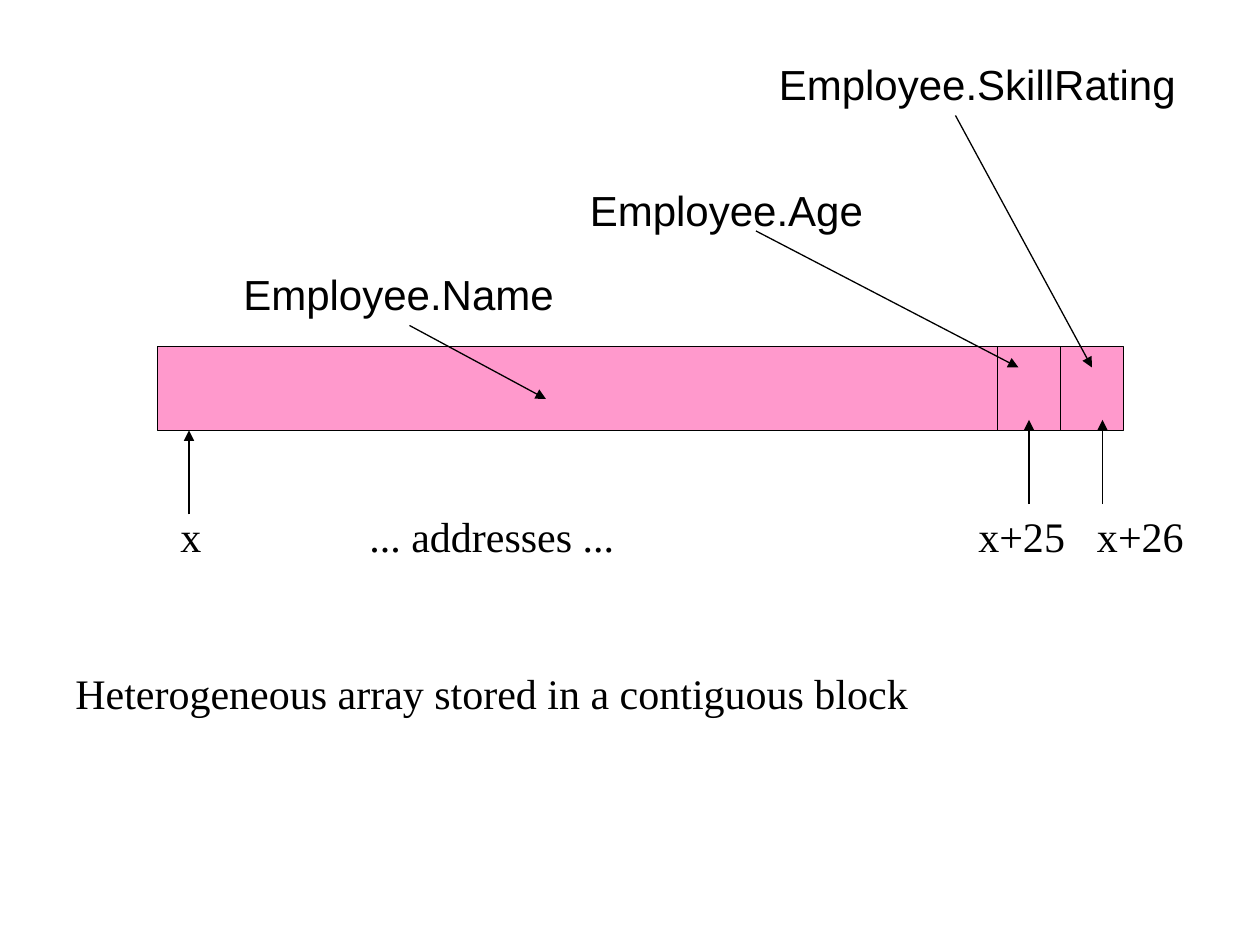
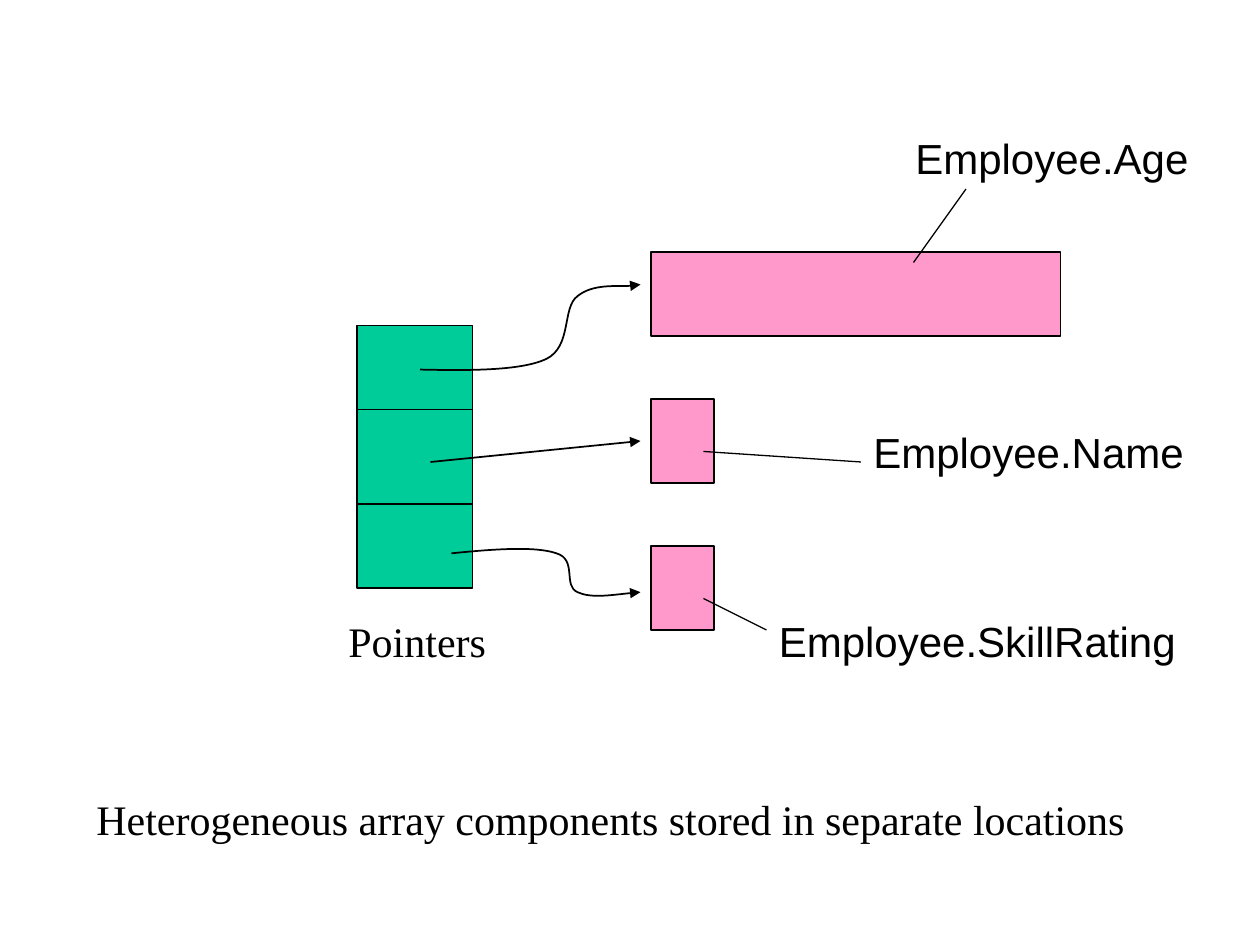
import pptx
import pptx.util
import pptx.dml.color
import pptx.enum.shapes
import pptx.enum.text
import pptx.oxml
import pptx.oxml.ns

THEME = {
    "pink": "FF99CC", "green": "00CC99", "ink": "000000",
    "serif": "Times New Roman", "sans": "Arial",
    "size": 24, "thin": 0.75, "bold": 1,
}
COLS, ROWS = 120, 90
LABEL = 47
HIGH = 6

SLIDES = [
    {
        "boxes": [("pink", 15, 33, 92, 8), ("pink", 95, 33, 6, 8)],
        "fields": [("Name", 22, 25), ("Age", 55, 17), ("SkillRating", 73, 5)],
        "notes": [
            ("x", 16, 48, 5),
            ("... addresses ...", 34, 48, 43),
            ("x+25\tx+26", 92, 48, 23),
            ("Heterogeneous array stored in a contiguous block", 6, 63, 96),
        ],
        "lines": [
            ("thin", True, (39, 31), (52, 38)),
            ("thin", True, (72, 22), (97, 35)),
            ("thin", True, (91, 11), (104, 35)),
            ("bold", True, (18, 49), (18, 41)),
            ("bold", True, (98, 48), (98, 40)),
            ("bold", True, (105, 48), (105, 40)),
        ],
        "curves": [],
    },
    {
        "boxes": [
            ("pink", 62, 24, 39, 8), ("pink", 62, 38, 6, 8),
            ("pink", 62, 52, 6, 8),
            ("green", 34, 31, 11, 25), ("green", 34, 39, 11, 9),
        ],
        "fields": [("Age", 86, 12), ("Name", 82, 40), ("SkillRating", 73, 58)],
        "notes": [
            ("Pointers", 32, 58, 16),
            ("Heterogeneous array components stored in separate locations",
             8, 75, 105),
        ],
        "lines": [
            ("thin", False, (92, 18), (87, 25)),
            ("thin", False, (67, 43), (82, 44)),
            ("thin", False, (67, 57), (73, 60)),
            ("bold", True, (41, 44), (61, 42)),
        ],
        "curves": [
            [(40, 35.2), (44.8, 35.3), (49.6, 35.3), (52, 34.2), (54.5, 33),
             (53.5, 29.3), (55, 28.2), (56.5, 27), (60, 27.4), (61, 27.1)],
            [(43, 52.7), (47, 52.3), (51, 52), (53, 52.7), (55, 53.3),
             (53.6, 55.8), (55, 56.4), (56.3, 57), (58.7, 56.6), (61, 56.4)],
        ],
    },
]

deck = pptx.Presentation()
deck.slide_width = pptx.util.Inches(10)
deck.slide_height = pptx.util.Inches(7.5)
UNIT = deck.slide_width / COLS
assert UNIT == deck.slide_height / ROWS


def grid(*vals):
    return [pptx.util.Emu(round(val * UNIT)) for val in vals]


def hue(name):
    return pptx.dml.color.RGBColor.from_string(THEME[name])


def node(owner, tag, **attrs):
    part = pptx.oxml.parse_xml(f"<a:{tag} {pptx.oxml.ns.nsdecls('a')}/>")
    for key, val in attrs.items():
        part.set(key, str(val))
    owner.append(part)
    return part


def ink(line, weight="thin", arrow=False):
    line.color.rgb = hue("ink")
    line.width = pptx.util.Pt(THEME[weight])
    if arrow:
        node(line._get_or_add_ln(), "tailEnd", type="triangle")


def write(slide, text, left, top, wide, face="serif", tab=None):
    box = slide.shapes.add_textbox(*grid(left, top, wide, HIGH))
    frame = box.text_frame
    frame.word_wrap = True
    frame.auto_size = pptx.enum.text.MSO_AUTO_SIZE.SHAPE_TO_FIT_TEXT
    para = frame.paragraphs[0]
    if tab:
        stops = node(para._p.get_or_add_pPr(), "tabLst")
        node(stops, "tab", pos=grid(tab)[0], algn="l")
    run = para.add_run()
    run.text = text
    run.font.name = THEME[face]
    run.font.size = pptx.util.Pt(THEME["size"])
    run.font.color.rgb = hue("ink")


def block(slide, tone, *place):
    rect = pptx.enum.shapes.MSO_SHAPE.RECTANGLE
    shape = slide.shapes.add_shape(rect, *grid(*place))
    shape.shadow.inherit = False
    shape.fill.solid()
    shape.fill.fore_color.rgb = hue(tone)
    ink(shape.line)


def link(slide, weight, arrow, start, end):
    kind = pptx.enum.shapes.MSO_CONNECTOR.STRAIGHT
    line = slide.shapes.add_connector(kind, *grid(*start, *end))
    ink(line.line, weight, arrow)
    node(line._element.spPr, "effectLst")


def curve(slide, knots):
    first, *rest = [grid(*knot) for knot in knots]
    pen = slide.shapes.build_freeform(*first, scale=1.0)
    pen.add_line_segments(rest, close=False)
    shape = pen.convert_to_shape()
    shape.shadow.inherit = False
    shape.fill.background()
    ink(shape.line, "bold", True)
    steps = shape._element.findall(".//" + pptx.oxml.ns.qn("a:lnTo"))
    trace = steps[0].getparent()
    for at in range(0, len(steps), 3):
        bend = node(trace, "cubicBezTo")
        for step in steps[at:at + 3]:
            bend.append(step[0])
            trace.remove(step)


for page in SLIDES:
    slide = deck.slides.add_slide(deck.slide_layouts[6])
    for box in page["boxes"]:
        block(slide, *box)
    for name, left, top in page["fields"]:
        write(slide, "Employee." + name, left, top, LABEL, face="sans")
    for note in page["notes"]:
        write(slide, *note, tab=11.3 if "\t" in note[0] else None)
    for line in page["lines"]:
        link(slide, *line)
    for knots in page["curves"]:
        curve(slide, knots)

deck.save("out.pptx")
